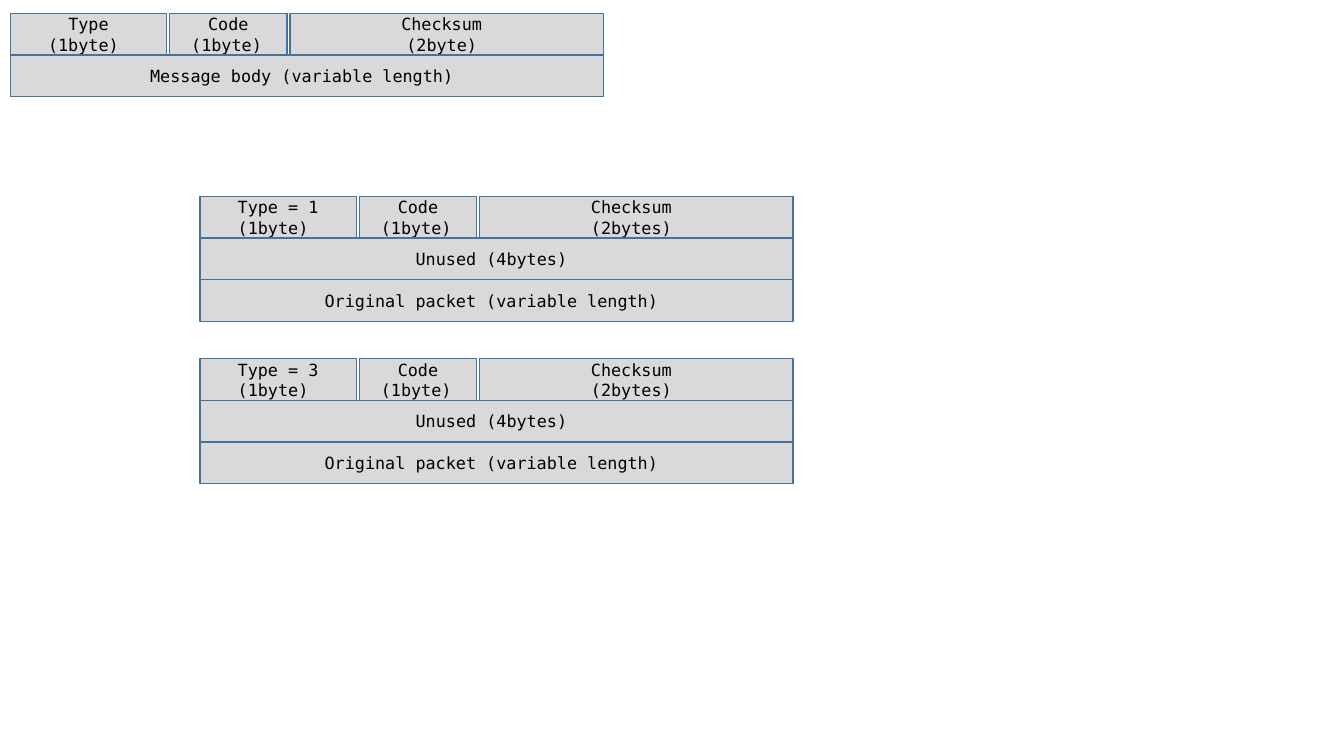
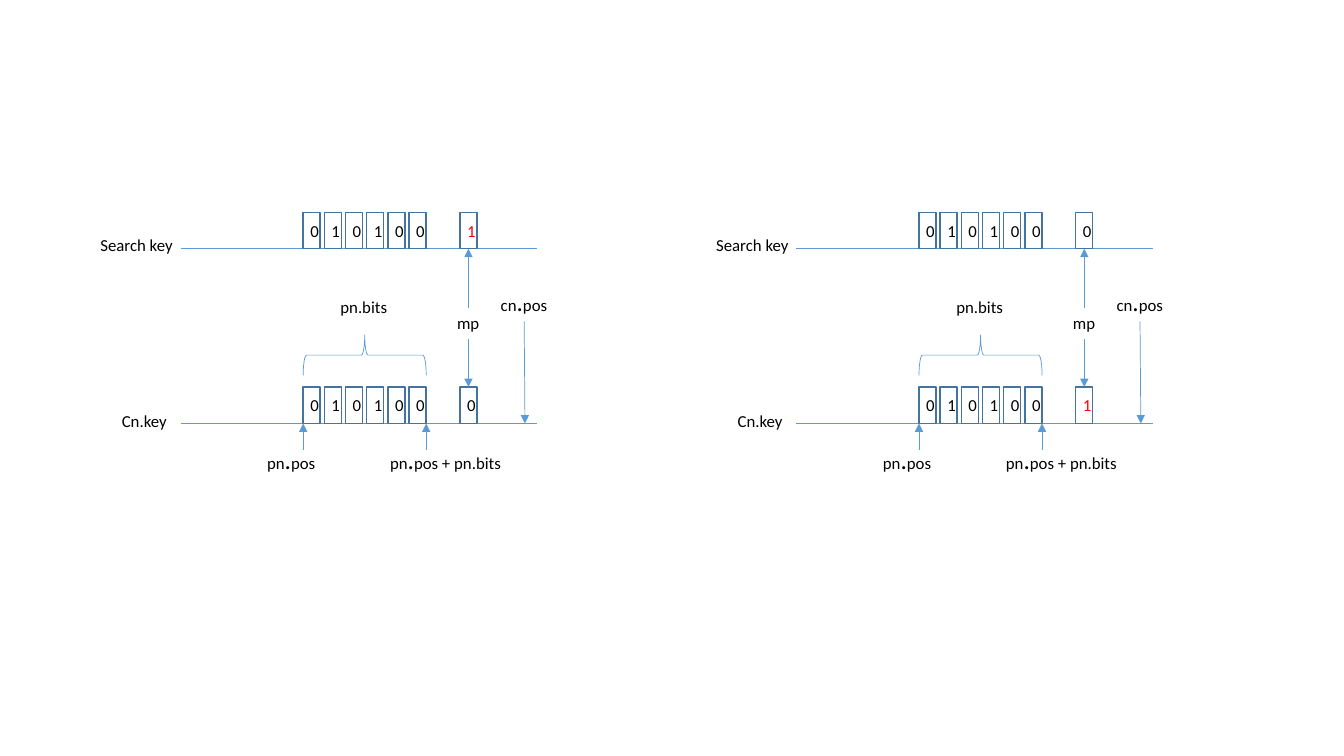
from lxml import etree
from pptx import Presentation
from pptx.dml.color import RGBColor
from pptx.enum.shapes import MSO_CONNECTOR, MSO_SHAPE
from pptx.enum.text import MSO_ANCHOR, MSO_AUTO_SIZE, PP_ALIGN
from pptx.oxml.ns import qn
from pptx.util import Cm, Pt

RECTANGLE = MSO_SHAPE.RECTANGLE
LEFT_BRACE = MSO_SHAPE.LEFT_BRACE
STRAIGHT = MSO_CONNECTOR.STRAIGHT
CENTER = PP_ALIGN.CENTER
MIDDLE = MSO_ANCHOR.MIDDLE
FIT_SHAPE = MSO_AUTO_SIZE.SHAPE_TO_FIT_TEXT
TOP, BOTTOM = 0, 2

COLORS = {
    "field": "D9D9D9",
    "outline": "43739E",
    "line": "5B9BD5",
    "text": "000000",
    "mismatch": "FF0000",
}
BODY_FONT = "Calibri"
MONO_FONT = "DejaVu Sans Mono"
TEXT_SIZE = 12
DOT_SIZE = 18

# Packet layouts, in cm
ROW_HEIGHT = 1.05
HEADER_WIDTHS = (3.94, 2.95, 7.9)
HEADER_GAP = 0.08
PACKET_WIDTH = sum(HEADER_WIDTHS) + 2 * HEADER_GAP
CODE_FIELD = [["Code"], ["(1byte)", " "]]
REPLY_BODY = ["Unused (4bytes) ", "Original packet (variable length) "]
PACKETS = [
    (0.26, 0.34, "Type", "(2byte) ", ["Message body (variable length) "]),
    (5.04, 4.95, "Type = 1", "(2bytes) ", REPLY_BODY),
    (5.04, 9.04, "Type = 3", "(2bytes) ", REPLY_BODY),
]

# Key comparison, in cm
PREFIX = "010100"
PREFIX_LEFT, PREFIX_WIDTH = 7.64, 3.1
BIT_WIDTH, BIT_HEIGHT = 0.43, 0.92
BIT_PITCH = (PREFIX_WIDTH - BIT_WIDTH) / (len(PREFIX) - 1)
MISMATCH_LEFT = 11.59
SEARCH_AXIS, NODE_AXIS = 6.27, 10.67
COMPARISON_OFFSET = 15.52


def color(name):
    return RGBColor.from_string(COLORS[name])


def format_run(run, font=BODY_FONT, size=TEXT_SIZE, ink="text"):
    run.font.name = font
    run.font.size = Pt(size)
    run.font.color.rgb = color(ink)


def add_outline(slide, kind, left, top, width, height, line="outline", weight=1, fill=None):
    shape = slide.shapes.add_shape(kind, Cm(left), Cm(top), Cm(width), Cm(height))
    shape.shadow.inherit = False
    if fill:
        shape.fill.solid()
        shape.fill.fore_color.rgb = color(fill)
    else:
        shape.fill.background()
    shape.line.color.rgb = color(line)
    shape.line.width = Pt(weight)
    return shape


def add_field(slide, left, top, width, lines):
    """Add one packet field; a second part of a line is set in the body font."""
    field = add_outline(slide, RECTANGLE, left, top, width, ROW_HEIGHT, fill="field")
    frame = field.text_frame
    frame.vertical_anchor = MIDDLE
    for index, parts in enumerate(lines):
        paragraph = frame.add_paragraph() if index else frame.paragraphs[0]
        paragraph.alignment = CENTER
        for position, part in enumerate(parts):
            run = paragraph.add_run()
            run.text = part
            if position:
                format_run(run, size=11)
            else:
                format_run(run, MONO_FONT)


def add_packet(slide, left, top, type_name, checksum_size, body_rows):
    header = [
        [[type_name], ["(1byte) "]],
        CODE_FIELD,
        [["Checksum "], [checksum_size]],
    ]
    field_left = left
    for width, lines in zip(HEADER_WIDTHS, header):
        add_field(slide, field_left, top, width, lines)
        field_left += width + HEADER_GAP
    for row, text in enumerate(body_rows, start=1):
        add_field(slide, left, top + row * ROW_HEIGHT, PACKET_WIDTH, [[text]])


def add_bit(slide, left, axis, digit, ink="text"):
    bit = add_outline(slide, RECTANGLE, left, axis - BIT_HEIGHT, BIT_WIDTH, BIT_HEIGHT)
    frame = bit.text_frame
    frame.text = digit
    frame.vertical_anchor = MIDDLE
    frame.paragraphs[0].alignment = CENTER
    format_run(frame.paragraphs[0].runs[0], ink=ink)
    return bit


def add_label(slide, left, top, width, *parts):
    """Add a one-line label; a part that is only a dot is set larger."""
    height = 1.02 if "." in parts else 0.77
    label = slide.shapes.add_textbox(Cm(left), Cm(top), Cm(width), Cm(height))
    frame = label.text_frame
    frame.word_wrap = False
    frame.auto_size = FIT_SHAPE
    for part in parts:
        run = frame.paragraphs[0].add_run()
        run.text = part
        format_run(run, size=DOT_SIZE if part == "." else TEXT_SIZE)
    return label


def add_line(slide, start, end, arrow=False):
    line = slide.shapes.add_connector(STRAIGHT, *(Cm(value) for value in (*start, *end)))
    line.line.color.rgb = color("line")
    line.line.width = Pt(0.5)
    if arrow:
        etree.SubElement(line.line._get_or_add_ln(), qn("a:tailEnd"), type="triangle")
    etree.SubElement(line._element.spPr, qn("a:effectLst"))
    return line


def add_joined_arrow(slide, source, source_side, target, target_side):
    arrow = add_line(slide, (0, 0), (0, 0), arrow=True)
    arrow.begin_connect(source, source_side)
    arrow.end_connect(target, target_side)


def add_key(slide, offset, axis, last_digit):
    """Add one key on its axis and return its bit at the mismatch position."""
    add_line(slide, (offset + 4.55, axis), (offset + 13.54, axis))
    for index, digit in enumerate(PREFIX):
        add_bit(slide, offset + PREFIX_LEFT + index * BIT_PITCH, axis, digit)
    ink = "mismatch" if last_digit == "1" else "text"
    return add_bit(slide, offset + MISMATCH_LEFT, axis, last_digit, ink)


def add_comparison(slide, offset, search_digit, node_digit):
    search_bit = add_key(slide, offset, SEARCH_AXIS, search_digit)
    node_bit = add_key(slide, offset, NODE_AXIS, node_digit)
    add_label(slide, offset + 2.28, 5.8, 2.35, "Search key")
    add_label(slide, offset + 2.82, 10.22, 1.65, "Cn.key")

    prefix_left = offset + PREFIX_LEFT
    for x in (prefix_left, prefix_left + PREFIX_WIDTH):
        add_line(slide, (x, 11.34), (x, NODE_AXIS), arrow=True)
    add_label(slide, offset + 6.48, 11.07, 1.73, "pn", ".", "pos")
    add_label(slide, offset + 9.58, 11.07, 3.33, "pn", ".", "pos + pn.bits")

    brace_depth = 1.02
    brace_left = prefix_left + (PREFIX_WIDTH - brace_depth) / 2
    brace = add_outline(slide, LEFT_BRACE, brace_left, 7.4, brace_depth, PREFIX_WIDTH,
                        line="line", weight=0.5)
    brace.rotation = 90
    add_label(slide, offset + 8.33, 7.35, 1.7, "pn.bits")

    mismatch_width = 1.07
    mismatch_left = offset + MISMATCH_LEFT + (BIT_WIDTH - mismatch_width) / 2
    mismatch = add_label(slide, mismatch_left, 7.76, mismatch_width, "mp")
    add_joined_arrow(slide, mismatch, TOP, search_bit, BOTTOM)
    add_joined_arrow(slide, mismatch, BOTTOM, node_bit, TOP)

    add_label(slide, offset + 12.37, 7.08, 1.7, "cn", ".", "pos")
    add_line(slide, (offset + 13.21, 8.1), (offset + 13.23, NODE_AXIS), arrow=True)


def main():
    presentation = Presentation()
    presentation.slide_width = Cm(33.87)
    presentation.slide_height = Cm(19.05)
    blank = presentation.slide_layouts[6]

    packet_slide = presentation.slides.add_slide(blank)
    for packet in PACKETS:
        add_packet(packet_slide, *packet)

    key_slide = presentation.slides.add_slide(blank)
    add_comparison(key_slide, 0, "1", "0")
    add_comparison(key_slide, COMPARISON_OFFSET, "0", "1")

    presentation.save("out.pptx")


if __name__ == "__main__":
    main()
